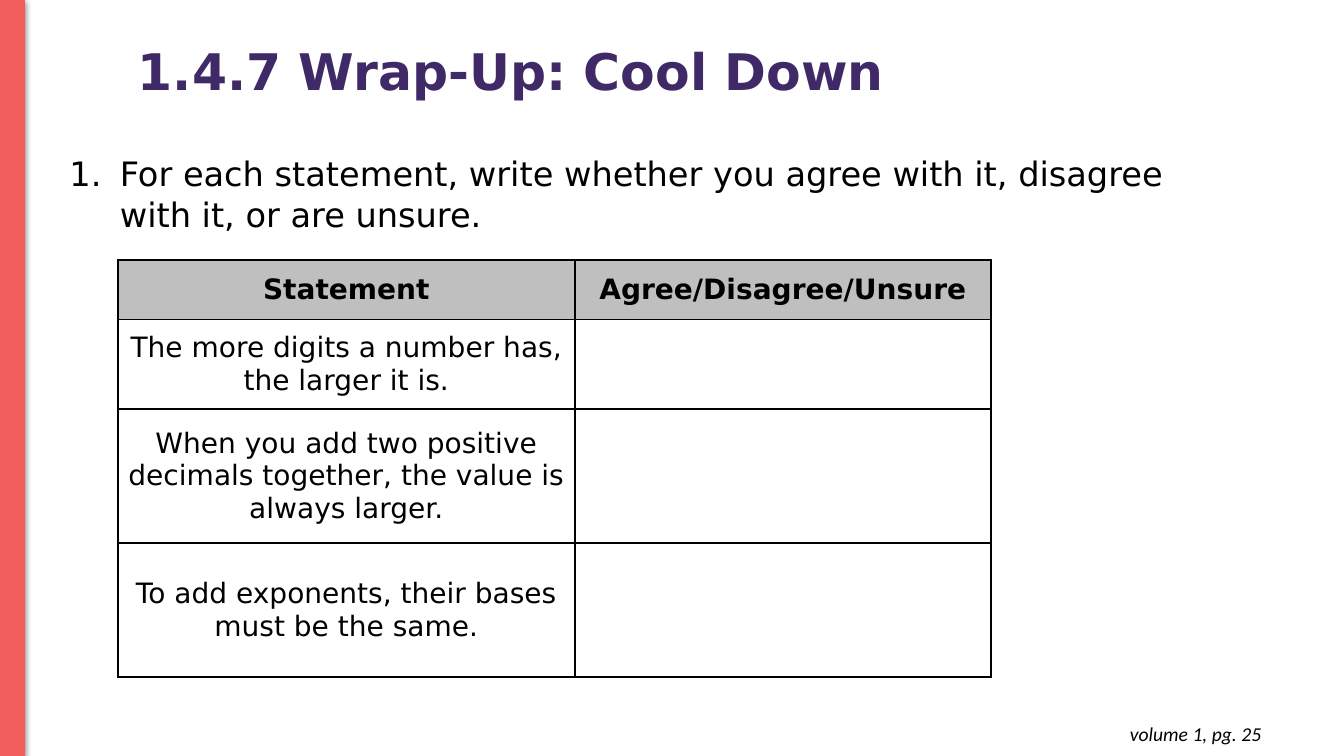
from dataclasses import dataclass, field

import lxml.etree
import pptx
import pptx.dml.color
import pptx.enum.shapes
import pptx.enum.text
import pptx.oxml
import pptx.oxml.ns
import pptx.util

Inches = pptx.util.Inches
Pt = pptx.util.Pt
ALIGN = pptx.enum.text.PP_ALIGN
ANCHOR = pptx.enum.text.MSO_ANCHOR
AUTO = pptx.enum.text.MSO_AUTO_SIZE
BLACK = "000000"
SANS = "DejaVu Sans"
NS = pptx.oxml.ns.nsdecls("a")


@dataclass
class TextItem:
    text: str
    box: tuple[float, float, float, float]
    font: dict
    color: str = BLACK
    para: dict = field(default_factory=dict)
    frame: dict = field(default_factory=dict)
    inset_y: float = 0.05
    number: str = ""


@dataclass
class Row:
    statement: str
    answer: str
    height: float


TEXTS = [
    TextItem("1.4.7 Wrap-Up: Cool Down", (1.27, 0.01, 8.77, 1.45),
             {"name": SANS, "size": Pt(36), "bold": True}, "3F2A67",
             para={"line_spacing": 0.9}, frame={"vertical_anchor": ANCHOR.MIDDLE}),
    TextItem("For each statement, write whether you agree with it, disagree with it, or are unsure.",
             (0.59, 1.47, 11.81, 0.91), {"name": SANS, "size": Pt(24)},
             frame={"auto_size": AUTO.SHAPE_TO_FIT_TEXT}, number="arabicPeriod"),
    TextItem("volume 1, pg. 25", (9.73, 7.06, 2.88, 0.44),
             {"name": "Calibri", "size": Pt(14), "italic": True},
             para={"alignment": ALIGN.RIGHT},
             frame={"auto_size": AUTO.SHAPE_TO_FIT_TEXT}, inset_y=0.1),
]
COLUMNS = (4.53, 4.13)
ROWS = [
    Row("Statement", "Agree/Disagree/Unsure", 0.59),
    Row("The more digits a number has, the larger it is.", "", 0.89),
    Row("When you add two positive decimals together, the value is always larger.", "", 1.33),
    Row("To add exponents, their bases must be the same.", "", 1.33),
]


def rgb(value: str) -> pptx.dml.color.RGBColor:
    return pptx.dml.color.RGBColor.from_string(value)


def apply(target, values: dict) -> None:
    for name, value in values.items():
        setattr(target, name, value)


def add_text(s, item: TextItem) -> None:
    tf = s.shapes.add_textbox(*map(Inches, item.box)).text_frame
    apply(tf, {"word_wrap": True, "margin_top": Inches(item.inset_y),
               "margin_bottom": Inches(item.inset_y), **item.frame})
    p = tf.paragraphs[0]
    apply(p, item.para)
    if item.number:
        pPr = p._p.get_or_add_pPr()
        pPr.set("marL", str(Inches(0.5)))
        pPr.set("indent", str(Inches(-0.5)))
        for xml in (f'<a:buClr {NS}><a:srgbClr val="{BLACK}"/></a:buClr>',
                    f'<a:buFont {NS} typeface="+mj-lt"/>',
                    f'<a:buAutoNum {NS} type="{item.number}"/>'):
            pPr.append(pptx.oxml.parse_xml(xml))
    r = p.add_run()
    r.text = item.text
    apply(r.font, item.font)
    r.font.color.rgb = rgb(item.color)


def add_side_bar(s, color: str) -> None:
    sp = s.shapes.add_shape(pptx.enum.shapes.MSO_SHAPE.RECTANGLE,
                            0, 0, Inches(0.24), Inches(7.5))
    sp.fill.solid()
    sp.fill.fore_color.rgb = rgb(color)
    sp.line.color.rgb = rgb(color)
    sp.line.width = Pt(0.75)
    sp.shadow.inherit = False
    effects = sp._element.spPr.find(pptx.oxml.ns.qn("a:effectLst"))
    effects.append(pptx.oxml.parse_xml(
        f'<a:outerShdw {NS} blurRad="{Pt(4.5)}" dist="{Pt(1.5)}" dir="5400000" rotWithShape="0">'
        f'<a:srgbClr val="{BLACK}"><a:alpha val="50000"/></a:srgbClr></a:outerShdw>'))


def format_cell(cell, text: str, header: bool) -> None:
    apply(cell, {"vertical_anchor": ANCHOR.MIDDLE, "margin_left": Inches(0.07),
                 "margin_right": Inches(0.07), "margin_top": 0, "margin_bottom": 0})
    tcPr = cell._tc.get_or_add_tcPr()
    for side in "LRTB":
        tcPr.append(pptx.oxml.parse_xml(
            f'<a:ln{side} {NS} w="{Pt(1.5)}"><a:solidFill><a:srgbClr val="{BLACK}"/>'
            f'</a:solidFill></a:ln{side}>'))
    if header:
        cell.fill.solid()
        cell.fill.fore_color.rgb = rgb("BFBFBF")
    else:
        cell.fill.background()
    if text:
        p = cell.text_frame.paragraphs[0]
        p.alignment = ALIGN.CENTER
        r = p.add_run()
        r.text = text
        apply(r.font, {"name": SANS, "size": Pt(20), "bold": header})
        r.font.color.rgb = rgb(BLACK)


def add_statement_table(s, left: float, top: float) -> None:
    height = sum(row.height for row in ROWS)
    table = s.shapes.add_table(len(ROWS), len(COLUMNS), Inches(left), Inches(top),
                               Inches(sum(COLUMNS)), Inches(height)).table
    apply(table, {"first_row": False, "horz_banding": False})
    for column, width in zip(table.columns, COLUMNS):
        column.width = Inches(width)
    for i, row in enumerate(ROWS):
        table.rows[i].height = Inches(row.height)
        for j, text in enumerate((row.statement, row.answer)):
            format_cell(table.cell(i, j), text, header=i == 0)


def main() -> None:
    prs = pptx.Presentation()
    apply(prs, {"slide_width": Inches(13.33), "slide_height": Inches(7.5)})
    s = prs.slides.add_slide(prs.slide_layouts[6])
    add_side_bar(s, "F25E5B")
    for item in TEXTS:
        add_text(s, item)
    add_statement_table(s, 1.17, 2.58)
    prs.save("out.pptx")


if __name__ == "__main__":
    main()
